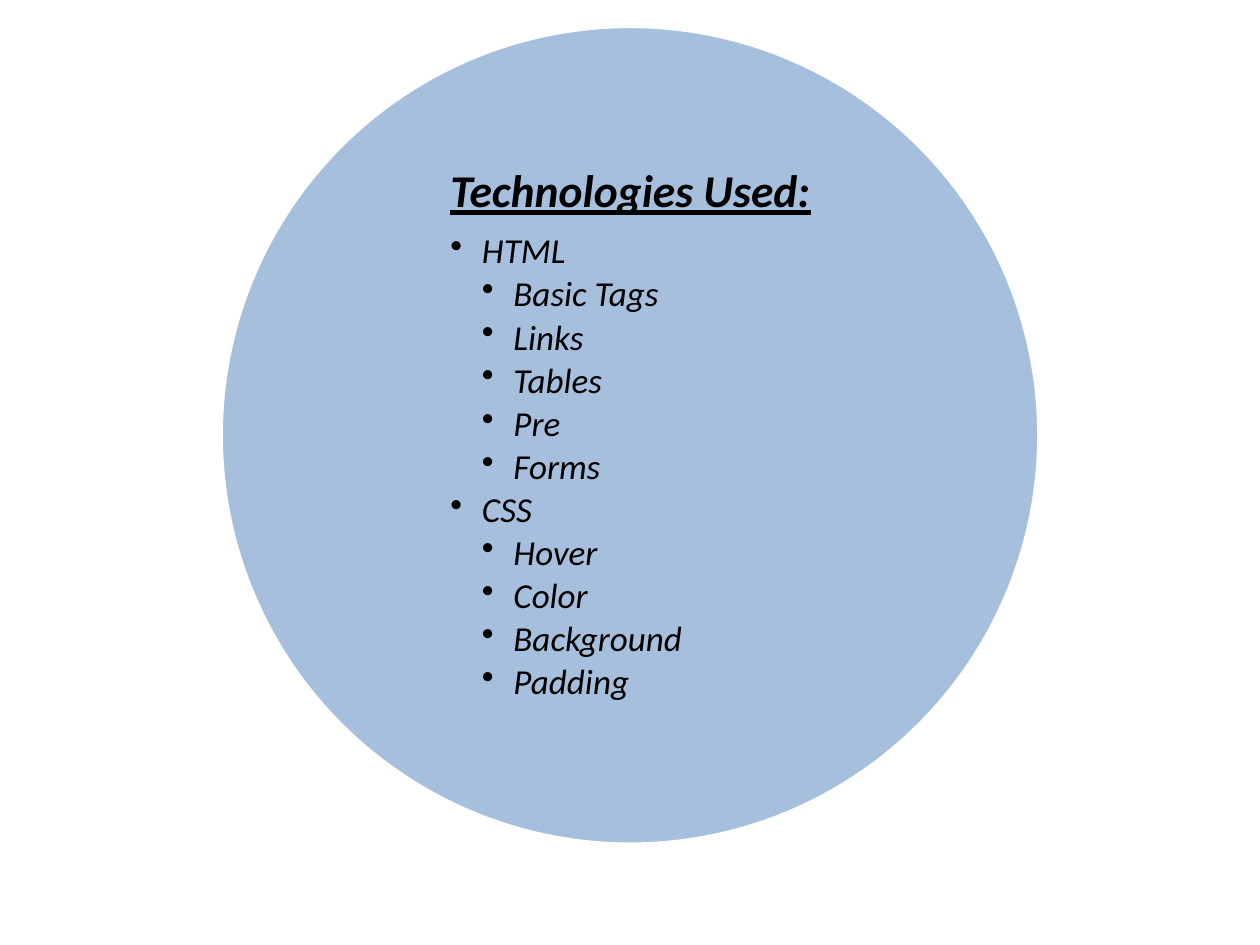
from lxml.etree import SubElement
from pptx import Presentation
from pptx.dml.color import RGBColor
from pptx.enum.shapes import MSO_SHAPE as Shape
from pptx.enum.text import MSO_ANCHOR as Anchor, PP_ALIGN as Align
from pptx.oxml.ns import qn
from pptx.util import Inches, Pt


def color(value):
    return RGBColor.from_string(value)


def add_child(parent, tag, **attributes):
    return SubElement(parent, qn(tag), attributes)


presentation = Presentation()
presentation.slide_width = Inches(10)
presentation.slide_height = Inches(7.5)
slide = presentation.slides.add_slide(presentation.slide_layouts[6])
group = slide.shapes.add_group_shape()

circle_size = Inches(6.49)
circle_left = (presentation.slide_width - circle_size) // 2
circle_top = Inches(0.21)
circle = group.shapes.add_shape(Shape.OVAL, circle_left, circle_top, circle_size, circle_size)
circle.shadow.inherit = False
circle.fill.solid()
circle.fill.fore_color.rgb = color("4F81BD")
circle_color = circle.fill._xPr.find(qn("a:solidFill"))[0]
add_child(circle_color, "a:alpha", val="50000")
circle.line.color.rgb = color("FFFFFF")
circle.line.width = Pt(2)

text_size = Inches(4.59)
text_inset = (circle_size - text_size) // 2
text_box = group.shapes.add_textbox(
    circle_left + text_inset, circle_top + text_inset, text_size, text_size
)
frame = text_box.text_frame
frame.word_wrap = True
frame.vertical_anchor = Anchor.MIDDLE
frame.margin_left = Inches(0.87)
frame.margin_top = frame.margin_right = frame.margin_bottom = 0

indent = Inches(0.25)
technologies = {
    "HTML": ["Basic Tags", "Links", "Tables", "Pre", "Forms"],
    "CSS": ["Hover", "Color", "Background", "Padding"],
}
lines = [("Technologies Used:", 0)]
for technology, topics in technologies.items():
    lines.append((technology, 1))
    lines.extend((topic, 2) for topic in topics)

for index, (text, level) in enumerate(lines):
    heading = level == 0
    paragraph = frame.add_paragraph() if index else frame.paragraphs[0]
    paragraph.text = text
    paragraph.level = level
    paragraph.alignment = Align.LEFT
    paragraph.line_spacing = 0.9
    properties = paragraph._p.get_or_add_pPr()
    properties.set("marL", str(level * indent))
    properties.set("indent", str(0 if heading else -indent))
    space_after = add_child(properties, "a:spcAft")
    add_child(space_after, "a:spcPct", val="35000" if heading else "15000")
    if heading:
        add_child(properties, "a:buNone")
    else:
        add_child(properties, "a:buChar", char="•")
    font = paragraph.font
    font.name = "Calibri"
    font.size = Pt(26 if heading else 20)
    font.bold = heading
    font.italic = True
    font.underline = heading
    font.color.rgb = color("000000")

presentation.save("out.pptx")
